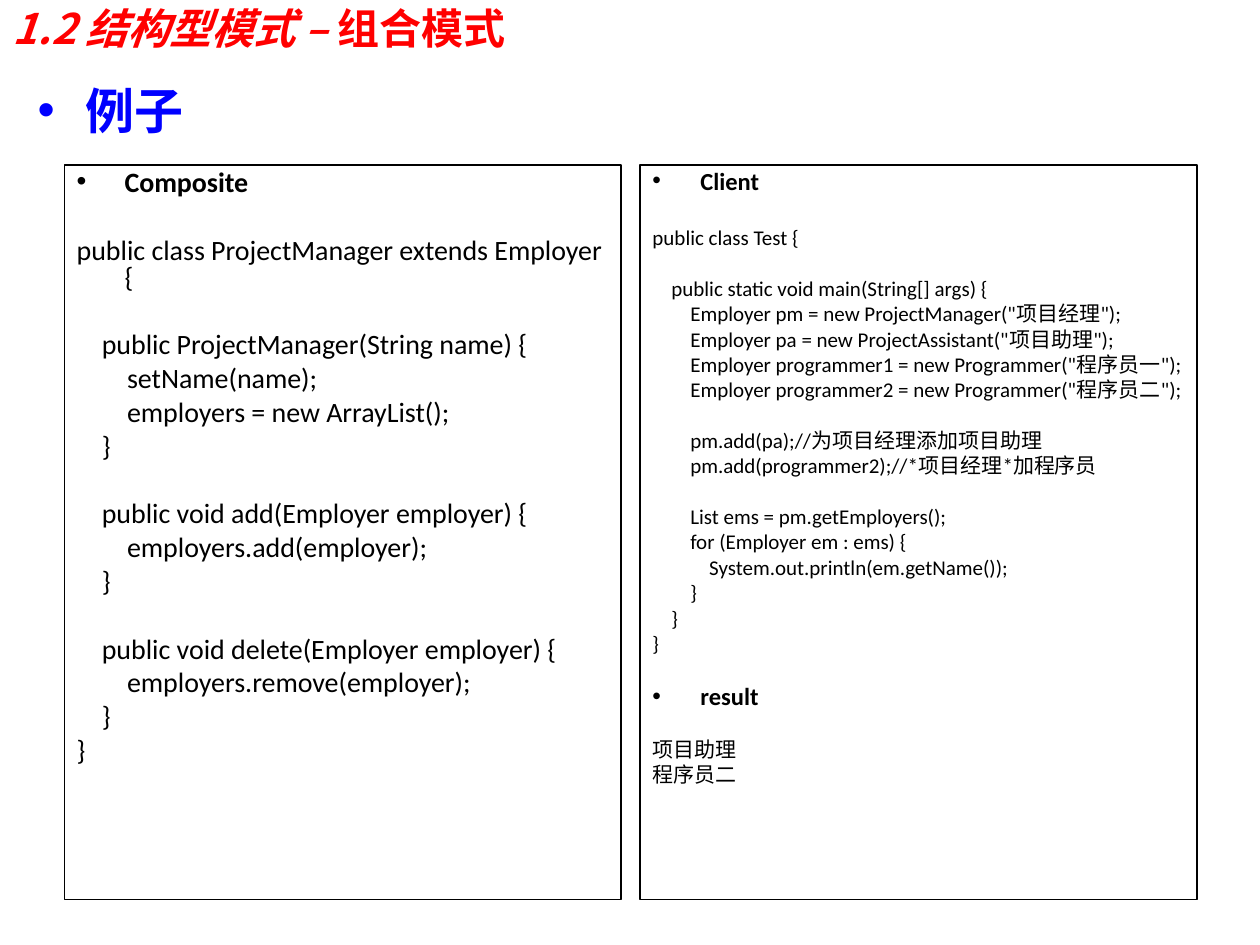
from dataclasses import dataclass

from lxml.etree import SubElement
from pptx import Presentation
from pptx.dml.color import RGBColor
from pptx.enum.text import MSO_ANCHOR, MSO_AUTO_SIZE, PP_ALIGN
from pptx.oxml.ns import qn
from pptx.util import Inches, Pt

LATIN = "Calibri"
CHINESE = "Noto Sans CJK SC"
RED, BLUE, BLACK = "FF0000", "0000FF", "000000"
INDENT = Inches(0.38)
PANEL_LEFT, PANEL_TOP = 0.51, 1.31
PANEL_WIDTH, PANEL_HEIGHT = 4.42, 5.83
COLUMN_STEP = 4.57


@dataclass(frozen=True)
class Block:
    text: str
    size: int
    gap: float = 0
    heading: bool = False
    color: str = BLACK


@dataclass(frozen=True)
class Panel:
    column: int
    blocks: tuple[Block, ...]


COMPOSITE_CODE = """public class ProjectManager extends Employer {

    public ProjectManager(String name) {
        setName(name);
        employers = new ArrayList();
    }

    public void add(Employer employer) {
        employers.add(employer);
    }

    public void delete(Employer employer) {
        employers.remove(employer);
    }
}"""

CLIENT_CODE = """public class Test {

    public static void main(String[] args) {
        Employer pm = new ProjectManager("项目经理");
        Employer pa = new ProjectAssistant("项目助理");
        Employer programmer1 = new Programmer("程序员一");
        Employer programmer2 = new Programmer("程序员二");

        pm.add(pa);//为项目经理添加项目助理
        pm.add(programmer2);//*项目经理*加程序员

        List ems = pm.getEmployers();
        for (Employer em : ems) {
            System.out.println(em.getName());
        }
    }
}"""

PANELS = (
    Panel(0, (
        Block("Composite", 16, heading=True),
        Block(COMPOSITE_CODE, 16, gap=19.3),
    )),
    Panel(1, (
        Block("Client", 14, heading=True),
        Block(CLIENT_CODE, 12, gap=17),
        Block("result", 14, gap=14.5, heading=True),
        Block("项目助理\n程序员二", 12, gap=14.5),
    )),
)


def rgb(color: str) -> RGBColor:
    return RGBColor.from_string(color)


def add_run(paragraph, text: str, size: int, color: str, font: str = LATIN,
            bold: bool = False, italic: bool = False) -> None:
    run = paragraph.add_run()
    run.text = text
    run.font.size = Pt(size)
    run.font.name = font
    run.font.bold = bold
    run.font.italic = italic
    run.font.color.rgb = rgb(color)
    SubElement(run.font._element, qn("a:ea"), typeface=CHINESE)


def add_bullet(paragraph, color: str) -> None:
    properties = paragraph._p.get_or_add_pPr()
    bullet_color = SubElement(properties, qn("a:buClr"))
    SubElement(bullet_color, qn("a:srgbClr"), val=color)
    SubElement(properties, qn("a:buFont"), typeface="Arial")
    SubElement(properties, qn("a:buChar"), char="•")


def write_blocks(text_frame, blocks: tuple[Block, ...]) -> None:
    paragraph = None
    for block in blocks:
        gap = block.gap
        for line in block.text.split("\n"):
            if not line:
                gap = block.size * 1.2
                continue
            first = paragraph is None
            paragraph = text_frame.paragraphs[0] if first else text_frame.add_paragraph()
            paragraph.line_spacing = 0.8
            paragraph.space_before = Pt(0 if first else round(block.size / 4 + gap, 1))
            properties = paragraph._p.get_or_add_pPr()
            properties.set("marL", str(INDENT))
            properties.set("indent", str(-INDENT))
            if block.heading:
                add_bullet(paragraph, block.color)
            add_run(paragraph, line, block.size, block.color, bold=block.heading)
            gap = 0


def add_text_area(slide, left: float, top: float, width: float, height: float,
                  blocks: tuple[Block, ...]):
    shape = slide.shapes.add_textbox(Inches(left), Inches(top), Inches(width), Inches(height))
    shape.text_frame.word_wrap = True
    write_blocks(shape.text_frame, blocks)
    return shape


def add_panel(slide, panel: Panel) -> None:
    shape = add_text_area(slide, PANEL_LEFT + panel.column * COLUMN_STEP, PANEL_TOP,
                          PANEL_WIDTH, PANEL_HEIGHT, panel.blocks)
    shape.line.color.rgb = rgb(BLACK)
    shape.line.width = Pt(0.75)


def format_title(slide) -> None:
    title = slide.shapes.title
    title.left, title.top = Inches(0), Inches(0)
    title.width, title.height = Inches(9), Inches(0.44)
    text_frame = title.text_frame
    text_frame.auto_size = MSO_AUTO_SIZE.NONE
    text_frame.vertical_anchor = MSO_ANCHOR.MIDDLE
    paragraph = text_frame.paragraphs[0]
    paragraph.alignment = PP_ALIGN.LEFT
    add_run(paragraph, "1.2 结构型模式 – ", 24, RED, CHINESE, bold=True, italic=True)
    add_run(paragraph, "组合模式", 24, RED, bold=True)


def main() -> None:
    presentation = Presentation()
    presentation.slide_width = Inches(10)
    presentation.slide_height = Inches(7.5)
    slide = presentation.slides.add_slide(presentation.slide_layouts[5])
    format_title(slide)
    add_text_area(slide, 0.2, 0.68, 3.54, 1.04,
                  (Block("例子", 28, heading=True, color=BLUE),))
    for panel in PANELS:
        add_panel(slide, panel)
    presentation.save("out.pptx")


if __name__ == "__main__":
    main()
